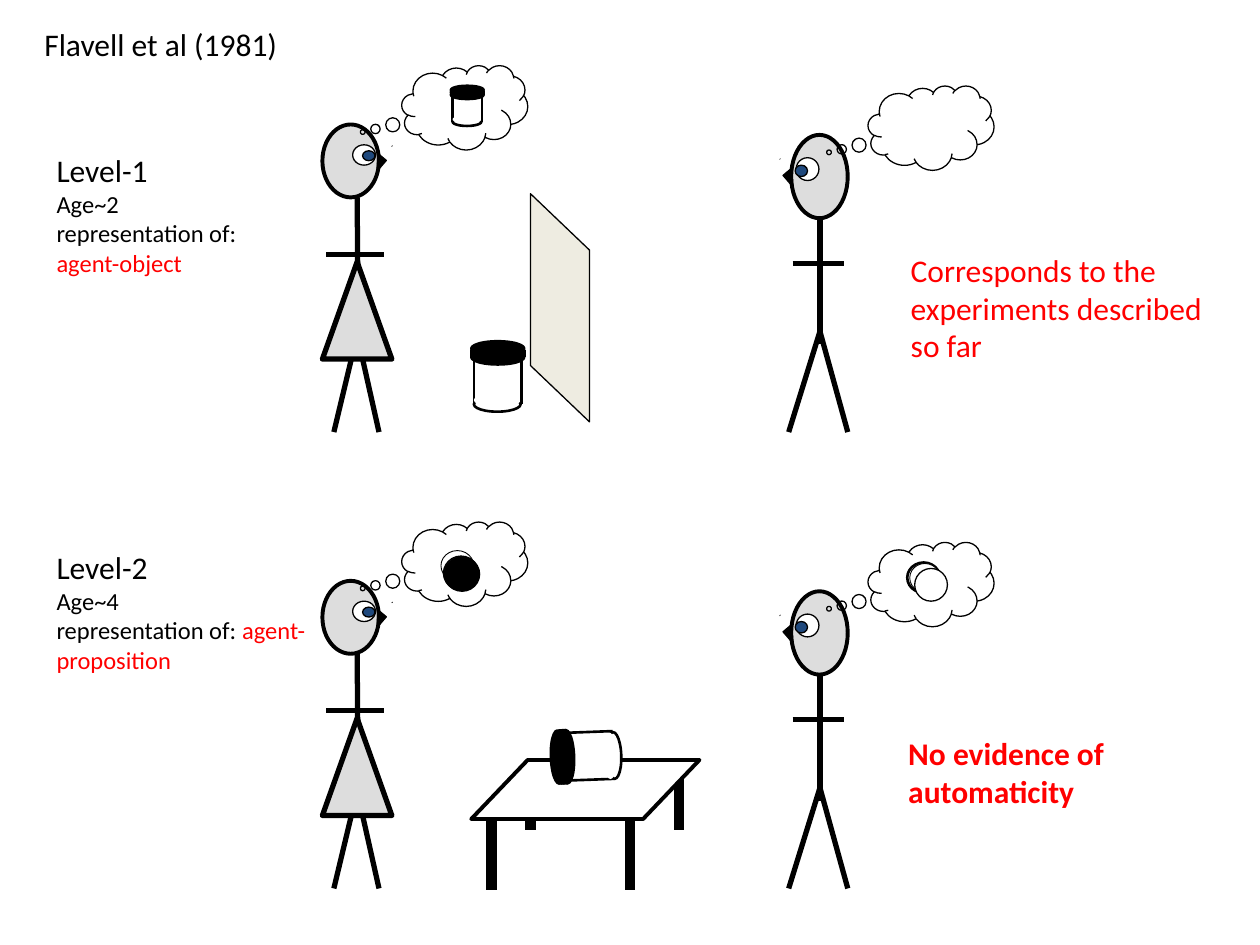
import pptx
import pptx.dml.color
import pptx.enum.shapes
import pptx.enum.text
import pptx.oxml
import pptx.util
from pptx.util import Cm

SHAPE = pptx.enum.shapes.MSO_SHAPE
BLACK, WHITE, RED = "000000", "FFFFFF", "FF0000"
GREY, BLUE, CREAM = "DDDDDD", "1F497D", "EEECE1"
FONT = "Calibri"
ROW_STEP = 9.2


def colour(hex_string):
    return pptx.dml.color.RGBColor.from_string(hex_string)


def add_shape(shapes, kind, box, fill=None, width=0.75, rotation=0, adjustments=()):
    """Place a preset shape at box (cm); a width of 0 means no outline."""
    shape = shapes.add_shape(kind, *(Cm(length) for length in box))
    shape.shadow.inherit = False
    shape.rotation = rotation
    for index, value in enumerate(adjustments):
        shape.adjustments[index] = value
    if fill:
        shape.fill.solid()
        shape.fill.fore_color.rgb = colour(fill)
    else:
        shape.fill.background()
    if width:
        shape.line.color.rgb = colour(BLACK)
        shape.line.width = pptx.util.Pt(width)
    else:
        shape.line.fill.background()
    return shape


def add_line(shapes, left, top, points, width=3, line_colour=BLACK):
    x1, y1, x2, y2 = points
    line = shapes.add_connector(
        pptx.enum.shapes.MSO_CONNECTOR.STRAIGHT,
        Cm(left + x1), Cm(top + y1), Cm(left + x2), Cm(top + y2))
    line.line.color.rgb = colour(line_colour)
    line.line.width = pptx.util.Pt(width)
    properties = line._element.spPr
    properties.append(pptx.oxml.parse_xml(
        '<a:effectLst xmlns:a="http://schemas.openxmlformats.org/drawingml/2006/main"/>'))


def add_face(shapes, left, top, head_height, eye, pupil, nose, nose_rotation, nose_tip, speck):
    group = shapes.add_group_shape()
    group_shapes = group.shapes

    def place(kind, box, *arguments):
        x, y, width, height = box
        add_shape(group_shapes, kind, (left + x, top + y, width, height), *arguments)

    place(SHAPE.OVAL, (0, 0, 1.14, head_height), GREY, 2.25)
    place(SHAPE.OVAL, eye, WHITE)
    place(SHAPE.OVAL, pupil, BLUE)
    x, y = speck
    add_line(group_shapes, left, top, (x, y, x + 0.01, y + 0.01), 0.75)
    place(SHAPE.ISOSCELES_TRIANGLE, nose, BLACK, 0.75, nose_rotation, [nose_tip])


def add_girl(shapes, left, top):
    for points in ((0.7, 1.47, 0.72, 4.24), (0.7, 4.24, 0.23, 6.2),
                   (0.7, 4.24, 1.14, 6.2), (0.08, 2.62, 1.24, 2.62)):
        add_line(shapes, left, top, points)
    add_shape(shapes, SHAPE.ISOSCELES_TRIANGLE, (left, top + 2.77, 1.4, 1.96), GREY, 3)
    add_face(shapes, left, top, 1.47, (0.61, 0.41, 0.46, 0.41), (0.81, 0.53, 0.25, 0.2),
             (0.97, 0.64, 0.28, 0.23), 310.8, 0.99, (1.4, 0.43))


def add_boy(shapes, left, top):
    for points in ((0.58, 1.09, 0.58, 4.22), (0.58, 3.96, -0.05, 5.99),
                   (0.58, 3.96, 1.14, 5.99), (0.03, 2.59, 1.07, 2.59)):
        add_line(shapes, left, top, points)
    add_face(shapes, left, top, 1.68, (0.1, 0.46, 0.46, 0.46), (0.08, 0.61, 0.25, 0.23),
             (-0.13, 0.74, 0.3, 0.23), 49.2, 0.01, (-0.23, 0.48))


def add_thought(shapes, left, top, circles=()):
    """Draw a thought cloud; circles are (box, fill, line width) inside it."""
    add_shape(shapes, SHAPE.CLOUD_CALLOUT, (left, top, 2.54, 1.7),
              adjustments=(-0.81, 0.29))
    for (x, y, width, height), fill, line_width in circles:
        add_shape(shapes, SHAPE.OVAL, (left + x, top + y, width, height), fill, line_width)


def add_jar(shapes, left, top, width, height, rotation=0):
    group = shapes.add_group_shape()

    def ellipse(x, y, relative_width, fill=None, line_width=1.5):
        add_shape(group.shapes, SHAPE.OVAL,
                  (left + x * width, top + y * height, relative_width * width, 0.21 * height),
                  fill, line_width)

    def side(x, start, end):
        add_line(group.shapes, left, top,
                 (x * width, start * height, x * width, end * height), 1.5)

    ellipse(0.05, 0.05, 0.88)
    side(0.05, 0.18, 0.89)
    ellipse(0.05, 0.79, 0.88)
    ellipse(0.05, 0.73, 0.88, WHITE, 0)
    for x in (0, 1):
        side(x, 0.12, 0.23)
    for y in (0.12, 0.06, 0):
        ellipse(0, y, 1, BLACK)
    side(0.95, 0.18, 0.89)
    group.rotation = rotation


def add_table_drawing(shapes, left, top):
    for x, start in ((4.19, 0), (1.19, 0.2)):
        add_line(shapes, left, top, (x, start, x, 1.42), 6)
    add_shape(shapes, SHAPE.PARALLELOGRAM, (left, top, 4.6, 1.19), WHITE, 2.25, 180, [0.955])
    for x in (0.41, 3.2):
        add_line(shapes, left, top, (x, 1.22, x, 2.62), 6)
    add_line(shapes, left, top, (1.8, 0, 3, 0), 4.5, WHITE)


def fill_text(frame, paragraphs):
    """Write paragraphs, each a list of (text, size, colour, bold) runs."""
    for index, runs in enumerate(paragraphs):
        paragraph = frame.paragraphs[0] if index == 0 else frame.add_paragraph()
        paragraph.alignment = pptx.enum.text.PP_ALIGN.LEFT
        for text, size, text_colour, bold in runs:
            run = paragraph.add_run()
            run.text = text
            run.font.name = FONT
            run.font.size = pptx.util.Pt(size)
            run.font.color.rgb = colour(text_colour)
            run.font.bold = bold


def add_text(shapes, box, paragraphs):
    frame = shapes.add_textbox(*(Cm(length) for length in box)).text_frame
    frame.word_wrap = True
    fill_text(frame, paragraphs)


def set_title(title, box, text):
    title.left, title.top, title.width, title.height = (Cm(length) for length in box)
    frame = title.text_frame
    frame.word_wrap = False
    frame.auto_size = pptx.enum.text.MSO_AUTO_SIZE.NONE
    frame.vertical_anchor = pptx.enum.text.MSO_ANCHOR.TOP
    fill_text(frame, [[(text, 18, BLACK, False)]])


def add_level_one(shapes, top):
    add_boy(shapes, 15.95, top + 2.72)
    add_girl(shapes, 6.5, top + 2.51)
    add_shape(shapes, SHAPE.PARALLELOGRAM, (8.99, top + 5.61, 4.6, 1.19), CREAM,
              rotation=270, adjustments=[0.955])
    add_jar(shapes, 9.5, top + 6.88, 1.07, 1.42)
    add_thought(shapes, 17.5, top + 1.73)
    add_thought(shapes, 8.1, top + 1.32)
    add_jar(shapes, 9.09, top + 1.73, 0.66, 0.81)
    add_text(shapes, (0.89, top + 2.92, 4.8, 2.79), [
        [("Level-1", 18, BLACK, False)],
        [("Age~2", 14, BLACK, False)],
        [("representation of:", 14, BLACK, False)],
        [("agent-object", 14, RED, False)]])
    add_text(shapes, (18.11, top + 4.93, 6.55, 2.54), [
        [("Corresponds to the experiments described so far", 18, RED, False)]])


def add_level_two(shapes, top):
    add_boy(shapes, 15.95, top + 2.72)
    add_girl(shapes, 6.5, top + 2.51)
    add_thought(shapes, 17.5, top + 1.73, [
        ((0.79, 0.41, 0.66, 0.61), WHITE, 1.5),
        ((0.84, 0.43, 0.61, 0.58), WHITE, 0.5),
        ((0.94, 0.53, 0.66, 0.66), WHITE, 0.75)])
    add_thought(shapes, 8.1, top + 1.32, [
        ((0.79, 0.58, 0.66, 0.61), WHITE, 0.5),
        ((0.84, 0.69, 0.71, 0.69), "333333", 0.75),
        ((0.86, 0.71, 0.71, 0.69), BLACK, 0.75)])
    add_table_drawing(shapes, 9.5, top + 6.12)
    add_jar(shapes, 11.28, top + 5.33, 1.07, 1.42, 267.9)
    add_text(shapes, (0.89, top + 1.72, 5.59, 2.79), [
        [("Level-2", 18, BLACK, False)],
        [("Age~4", 14, BLACK, False)],
        [("representation of: ", 14, BLACK, False), ("agent-proposition", 14, RED, False)]])
    add_text(shapes, (18.06, top + 5.48, 6.55, 1.8), [
        [("No evidence of automaticity", 18, RED, True)]])


def main():
    presentation = pptx.Presentation()
    presentation.slide_width, presentation.slide_height = Cm(25.4), Cm(19.05)
    slide = presentation.slides.add_slide(presentation.slide_layouts[5])
    set_title(slide.shapes.title, (0.64, 0.38, 5.74, 1.02), "Flavell et al (1981)")
    add_level_one(slide.shapes, 0)
    add_level_two(slide.shapes, ROW_STEP)
    presentation.save("out.pptx")


if __name__ == "__main__":
    main()
